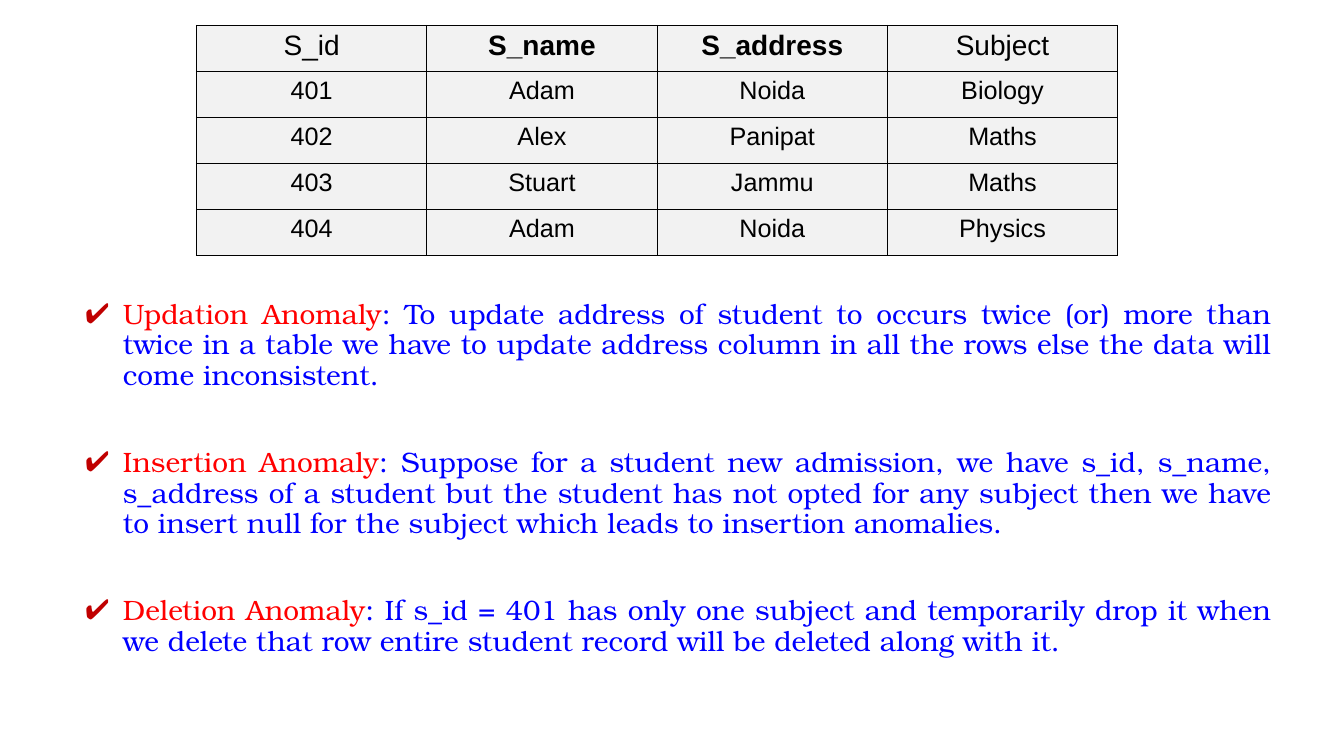
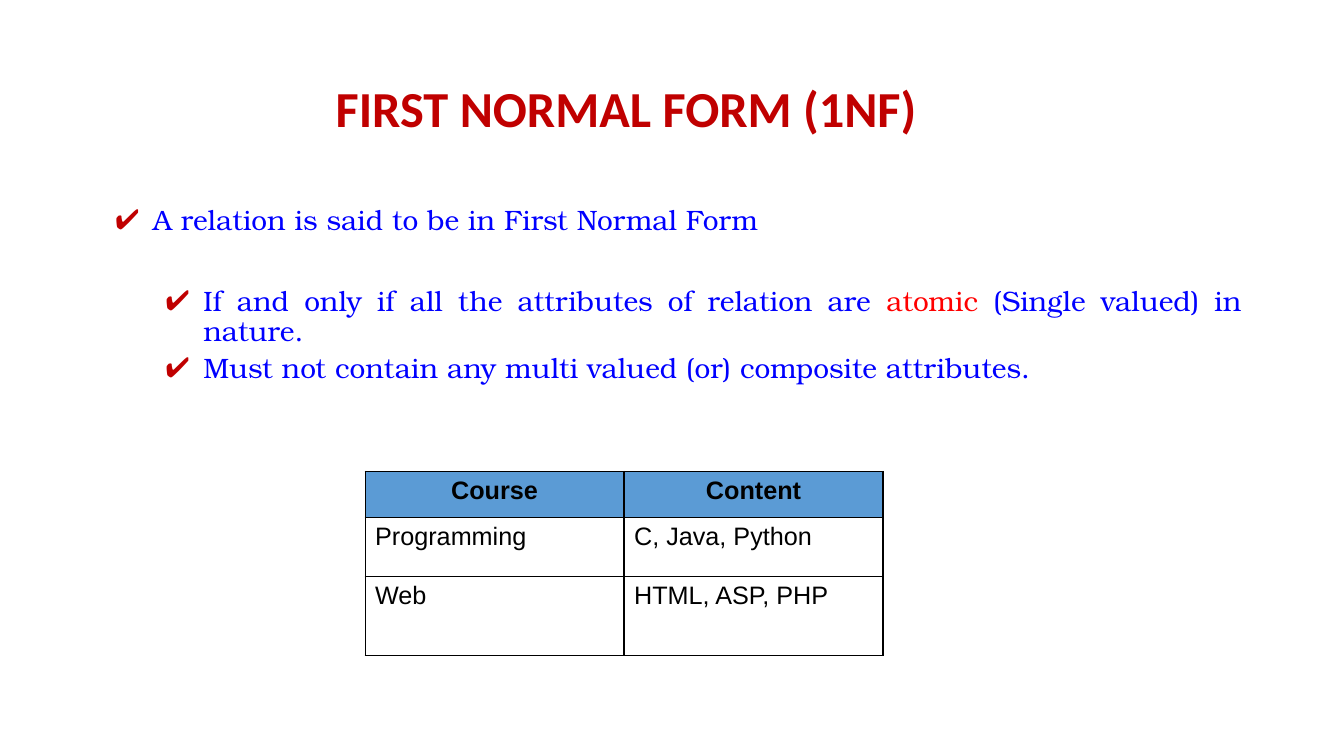
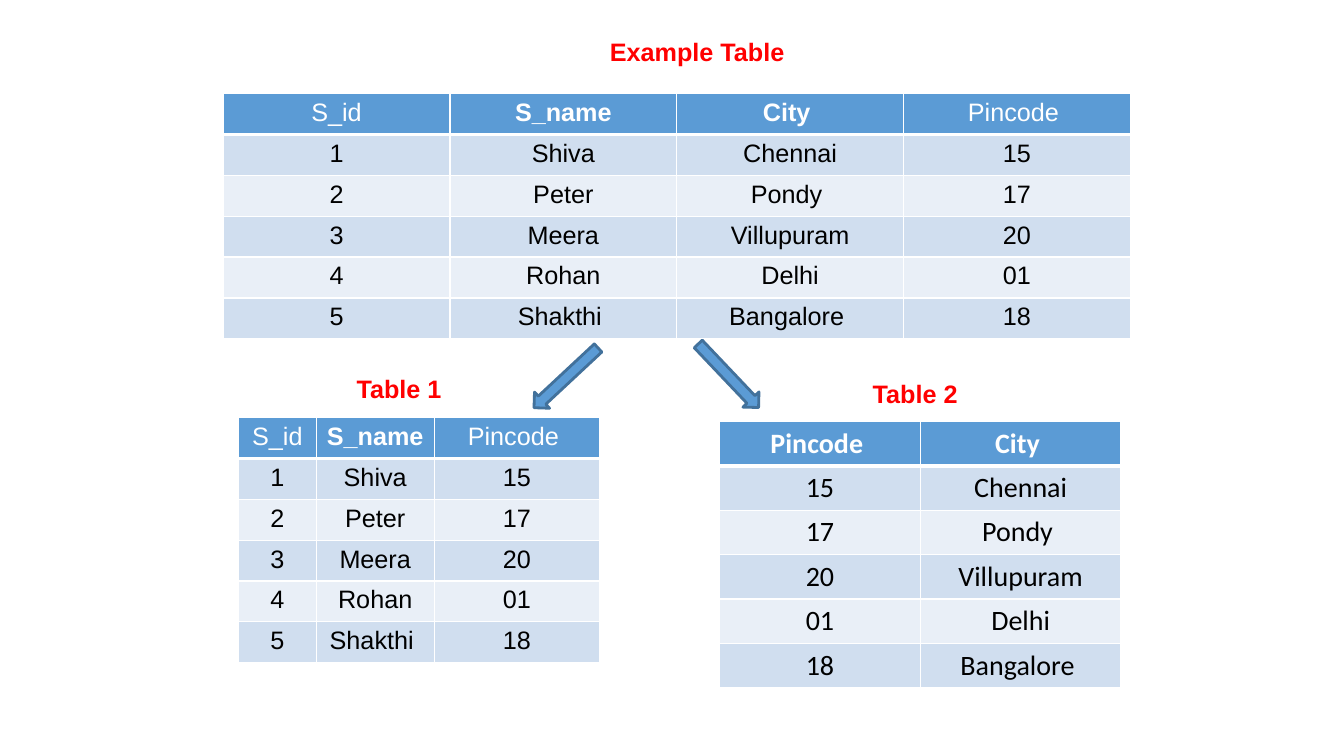
import pptx
import pptx.dml.color
import pptx.enum.shapes
import pptx.enum.text
import pptx.oxml.ns
import pptx.util
from lxml import etree

Pt = pptx.util.Pt
ALIGN = pptx.enum.text.PP_ALIGN
ANCHOR = pptx.enum.text.MSO_ANCHOR

# Shared palette and fonts
BLACK, WHITE = "000000", "FFFFFF"
RED, DARK_RED, BLUE = "FF0000", "C00000", "0000FF"
ACCENT, ACCENT_EDGE = "5B9BD5", "42719B"
GREY, BAND_DARK, BAND_LIGHT = "F2F2F2", "D0DEEF", "E9EFF7"
SANS, HEADING, SERIF = "Arial", "Calibri", "TeX Gyre Bonum"

# Slide layouts of the default template
TITLE_AND_BODY, TITLE_ONLY = 1, 5


def rgb(hex_colour):
    return pptx.dml.color.RGBColor.from_string(hex_colour)


def add_run(paragraph, text, size, font, colour, bold=False):
    run = paragraph.add_run()
    run.text = text
    run.font.size = Pt(size)
    run.font.name = font
    run.font.bold = bold
    run.font.color.rgb = rgb(colour)


def place(shape, left, top, width, height):
    shape.left, shape.top = Pt(left), Pt(top)
    shape.width, shape.height = Pt(width), Pt(height)


def prepare_frame(frame, anchor):
    frame.word_wrap = True
    frame.auto_size = pptx.enum.text.MSO_AUTO_SIZE.NONE
    frame.vertical_anchor = anchor


def set_title(slide, text, box, size, font, colour):
    title = slide.shapes.title
    place(title, *box)
    prepare_frame(title.text_frame, ANCHOR.MIDDLE)
    paragraph = title.text_frame.paragraphs[0]
    paragraph.alignment = ALIGN.LEFT
    add_run(paragraph, text, size, font, colour, bold=True)


def add_caption(slide, text, left, top):
    caption = slide.shapes.add_textbox(Pt(left), Pt(top), Pt(78), Pt(29))
    prepare_frame(caption.text_frame, ANCHOR.TOP)
    add_run(caption.text_frame.paragraphs[0], text, 18, SANS, RED, bold=True)


def add_tick(paragraph, indent):
    """Give the paragraph a hanging tick mark."""
    properties = paragraph._p.get_or_add_pPr()
    properties.set("marL", str(Pt(indent)))
    properties.set("indent", str(-Pt(27)))
    qn = pptx.oxml.ns.qn
    tick_colour = etree.SubElement(properties, qn("a:buClr"))
    etree.SubElement(tick_colour, qn("a:srgbClr")).set("val", DARK_RED)
    etree.SubElement(properties, qn("a:buChar")).set("char", "✔")


def fill_body(slide, box, items):
    """Each item is (level, space before, [(text, colour), ...])."""
    body = slide.placeholders[1]
    place(body, *box)
    frame = body.text_frame
    prepare_frame(frame, ANCHOR.TOP)
    for number, (level, space_before, runs) in enumerate(items):
        paragraph = frame.add_paragraph() if number else frame.paragraphs[0]
        paragraph.level = level
        paragraph.alignment = ALIGN.JUSTIFY
        paragraph.line_spacing = 0.9
        paragraph.space_before = Pt(space_before)
        add_tick(paragraph, 36 * (level + 1))
        for text, colour in runs:
            add_run(paragraph, text, 20, SERIF, colour)


def set_borders(cell, colour, top=1, bottom=1):
    properties = cell._tc.get_or_add_tcPr()
    qn = pptx.oxml.ns.qn
    for side, width in (("L", 1), ("R", 1), ("T", top), ("B", bottom)):
        line = etree.SubElement(properties, qn("a:ln" + side))
        line.set("w", str(Pt(width)))
        solid = etree.SubElement(line, qn("a:solidFill"))
        etree.SubElement(solid, qn("a:srgbClr")).set("val", colour)


def add_grid(slide, left, top, widths, heights, rows, plain=(), size=18,
             header_size=18, font=SANS, header_colour=WHITE, header_fill=ACCENT,
             fills=(BAND_DARK, BAND_LIGHT), border=WHITE, rule=3,
             align=ALIGN.CENTER):
    """Table whose header is bold, except for the headings in plain."""
    table = slide.shapes.add_table(
        len(rows), len(widths), Pt(left), Pt(top),
        Pt(sum(widths)), Pt(sum(heights))).table
    table.first_row = table.horz_banding = False
    for column, width in zip(table.columns, widths):
        column.width = Pt(width)
    for row, height in zip(table.rows, heights):
        row.height = Pt(height)
    for r, texts in enumerate(rows):
        header = r == 0
        fill = header_fill if header else fills[(r - 1) % len(fills)]
        for c, text in enumerate(texts):
            cell = table.cell(r, c)
            set_borders(cell, border, top=rule if r == 1 else 1,
                        bottom=rule if header else 1)
            if fill:
                cell.fill.solid()
                cell.fill.fore_color.rgb = rgb(fill)
            else:
                cell.fill.background()
            paragraph = cell.text_frame.paragraphs[0]
            paragraph.alignment = ALIGN.CENTER if header else align
            add_run(paragraph, text, header_size if header else size, font,
                    header_colour if header else BLACK,
                    bold=header and text not in plain)


def add_split_arrow(slide, left, top, rotation):
    arrow = slide.shapes.add_shape(
        pptx.enum.shapes.MSO_SHAPE.RIGHT_ARROW,
        Pt(left), Pt(top), Pt(62.6), Pt(15.8))
    arrow.rotation = rotation
    arrow.shadow.inherit = False
    arrow.fill.solid()
    arrow.fill.fore_color.rgb = rgb(ACCENT)
    arrow.line.color.rgb = rgb(ACCENT_EDGE)
    arrow.line.width = Pt(2)


def new_slide(deck, layout):
    return deck.slides.add_slide(deck.slide_layouts[layout])


def build_anomalies(deck):
    slide = new_slide(deck, TITLE_AND_BODY)
    untitled = slide.shapes.title._element
    untitled.getparent().remove(untitled)
    students = [
        ("S_id", "S_name", "S_address", "Subject"),
        ("401", "Adam", "Noida", "Biology"),
        ("402", "Alex", "Panipat", "Maths"),
        ("403", "Stuart", "Jammu", "Maths"),
        ("404", "Adam", "Noida", "Physics"),
    ]
    add_grid(slide, 140.4, 18.2, [164.5] * 4, [32.85] * 5, students,
             plain=("S_id", "Subject"), header_size=20, header_colour=BLACK,
             header_fill=GREY, fills=(GREY,), border=BLACK, rule=1)
    anomalies = [
        ("Updation Anomaly",
         ": To update address of student to occurs twice (or) more than twice "
         "in a table we have to update address column in all the rows else "
         "the data will come inconsistent."),
        ("Insertion Anomaly",
         ": Suppose for a student new admission, we have s_id, s_name, "
         "s_address of a student but the student has not opted for any "
         "subject then we have to insert null for the subject which leads to "
         "insertion anomalies."),
        ("Deletion Anomaly",
         ": If s_id = 401 has only one subject and temporarily drop it when "
         "we delete that row entire student record will be deleted along "
         "with it."),
    ]
    fill_body(slide, (44.6, 211, 871, 266),
              [(0, 41 if number else 0, [(name, RED), (meaning, BLUE)])
               for number, (name, meaning) in enumerate(anomalies)])


def build_first_normal_form(deck):
    slide = new_slide(deck, TITLE_AND_BODY)
    set_title(slide, "FIRST NORMAL FORM (1NF)", (232.6, 49, 460, 55),
              36, HEADING, DARK_RED)
    fill_body(slide, (66, 144, 828, 343), [
        (0, 0, [("A relation is said to be in First Normal Form", BLUE)]),
        (1, 36, [("If and only if all the attributes of relation are ", BLUE),
                 ("atomic ", RED), ("(Single valued) in nature.", BLUE)]),
        (1, 5, [("Must not contain any multi valued (or) composite "
                 "attributes.", BLUE)]),
    ])
    courses = [
        ("Course", "Content"),
        ("Programming", "C, Java, Python"),
        ("Web", "HTML, ASP, PHP"),
    ]
    add_grid(slide, 260.8, 336.8, [185] * 2, [32.8, 42.2, 56.4], courses,
             header_colour=BLACK, fills=(None,), border=BLACK, rule=1,
             align=ALIGN.LEFT)


def build_decomposition(deck):
    slide = new_slide(deck, TITLE_ONLY)
    set_title(slide, "Example Table", (428.4, 22.5, 142, 29), 18, SANS, RED)
    example = [
        ("S_id", "S_name", "City ", "Pincode "),
        ("1", "Shiva", "Chennai", "15"),
        ("2", "Peter", "Pondy ", "17"),
        ("3", "Meera", "Villupuram", "20"),
        ("4", "Rohan", "Delhi", "01"),
        ("5", "Shakthi ", "Bangalore ", "18"),
    ]
    # The example splits into students and cities, joined by pincode
    students = [(s_id, name, pin) for s_id, name, _, pin in example]
    cities = [(pin, city) for _, _, city, pin in example]
    plain = ("S_id", "Pincode ")
    row_heights = [29.2] * len(example)
    add_grid(slide, 159.4, 66.8, [162] * 4, row_heights, example, plain)
    add_grid(slide, 170.4, 298.2, [55.5, 84.3, 118], row_heights, students,
             plain)
    add_grid(slide, 514, 301, [143.4] * 2, [31.2] * len(cities), cities,
             size=20, header_size=20, font=HEADING)
    add_caption(slide, "Table 1", 247.6, 262.8)
    add_caption(slide, "Table 2", 616.3, 266.8)
    add_split_arrow(slide, 373, 262, 137)
    add_split_arrow(slide, 489, 260.5, 46.5)


def main():
    deck = pptx.Presentation()
    deck.slide_width, deck.slide_height = Pt(960), Pt(540)
    build_anomalies(deck)
    build_first_normal_form(deck)
    build_decomposition(deck)
    deck.save("out.pptx")


if __name__ == "__main__":
    main()
